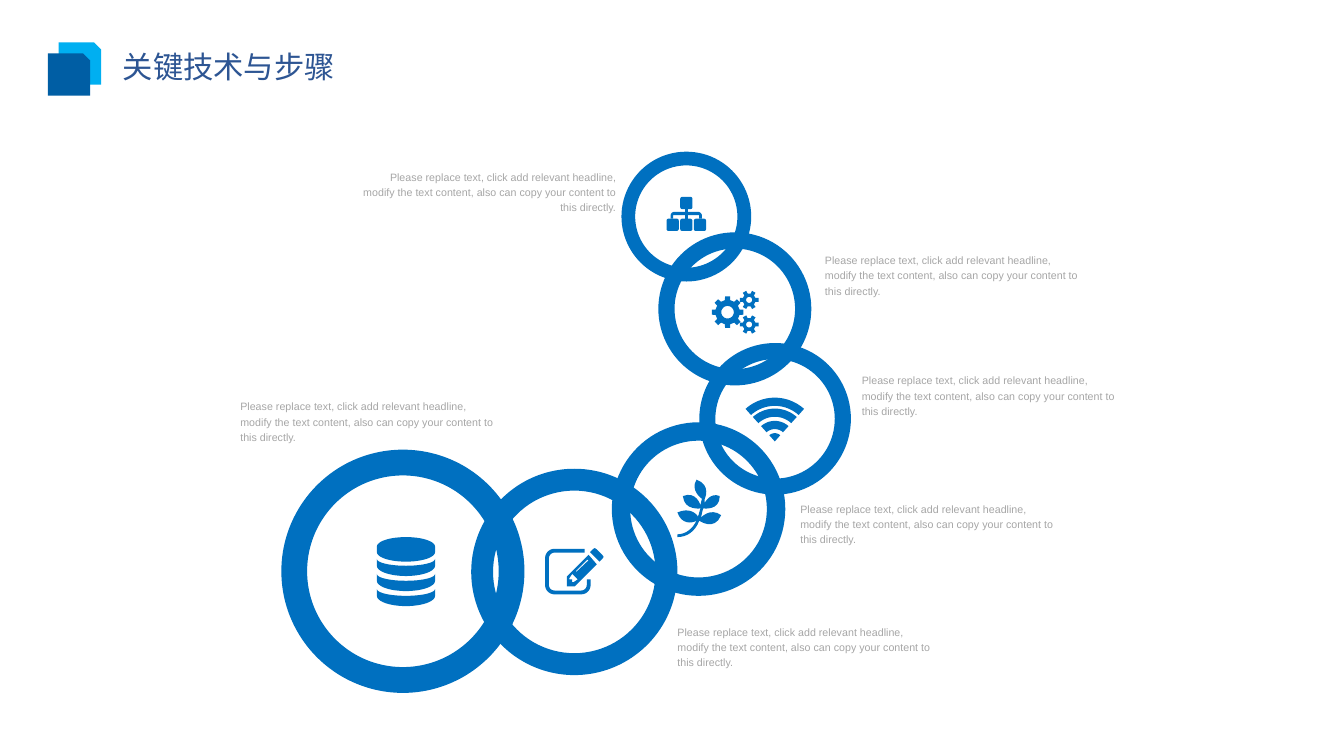
import math
import lxml.etree
import pptx
import pptx.dml.color
import pptx.enum.shapes
import pptx.enum.text
import pptx.oxml.ns
import pptx.util

PX = 9144
FINE = 100
BLUE = "0070C0"
hue = pptx.dml.color.RGBColor.from_string
kind = pptx.enum.shapes.MSO_SHAPE
side = pptx.enum.text.PP_ALIGN
fit = pptx.enum.text.MSO_AUTO_SIZE.SHAPE_TO_FIT_TEXT
qn = pptx.oxml.ns.qn

deck = pptx.Presentation()
deck.slide_width = 984 * PX
deck.slide_height = 551 * PX
slide = deck.slides.add_slide(deck.slide_layouts[5])
shapes = slide.shapes


def arc(x, y, rx, ry, start, end):
    turns = [math.radians(start + (end - start) * i / 24) for i in range(25)]
    return [(x + rx * math.cos(t), y + ry * math.sin(t)) for t in turns]


def draw(loops, stroke=0):
    loops = [[(round(x * FINE), round(y * FINE)) for x, y in loop] for loop in loops]
    pen = shapes.build_freeform(*loops[0][0], scale=PX / FINE)
    for i, loop in enumerate(loops):
        if i:
            pen.move_to(*loop[0])
        pen.add_line_segments(loop[1:], close=not stroke)
    icon = pen.convert_to_shape()
    icon.shadow.inherit = False
    if stroke:
        icon.fill.background()
        icon.line.color.rgb = hue(BLUE)
        icon.line.width = pptx.util.Pt(stroke)
    else:
        icon.fill.solid()
        icon.fill.fore_color.rgb = hue(BLUE)
        icon.line.fill.background()


rings = [(455, 111, 95), (482, 170, 112), (512, 251, 111),
         (448, 309, 127), (345, 343, 151), (206, 329, 178)]
tabs = [(43, 31, "00AFF1"), (35, 39, "005EA4")]
nodes = [(498, 144), (488, 160), (498, 160), (508, 160)]
parts = [(kind.DONUT, x, y, d, BLUE) for x, y, d in rings]
parts += [(kind.SNIP_1_RECTANGLE, x, y, 31, tone) for x, y, tone in tabs]
parts += [(kind.ROUNDED_RECTANGLE, x, y, 9, BLUE) for x, y in nodes]
made = []
for form, x, y, size, tone in parts:
    part = shapes.add_shape(form, x * PX, y * PX, size * PX, size * PX)
    part.shadow.inherit = False
    part.fill.solid()
    part.fill.fore_color.rgb = hue(tone)
    part.line.fill.background()
    if form == kind.DONUT:
        part.adjustments[0] = 0.106
    made.append(part)

root, left, mid, right = made[-4:]
trunk = shapes.add_connector(pptx.enum.shapes.MSO_CONNECTOR.STRAIGHT, 0, 0, 0, 0)
trunk.begin_connect(root, 2)
trunk.end_connect(mid, 0)
trunk.line.color.rgb = hue(BLUE)
trunk.line.width = pptx.util.Pt(1.6)
lxml.etree.SubElement(trunk._element.spPr, qn("a:effectLst"))
draw([[(491, 160)] + arc(494, 158, 3, 3, 180, 270) + arc(511, 158, 3, 3, 270, 360)
      + [(514, 160), (512, 160), (512, 157.5), (493, 157.5), (493, 160)]])

gears = []
for x, y, tip, base, hole, teeth in [(532.7, 228.5, 11.7, 9, 4.6, 8),
                                     (548.5, 219.5, 7, 4.8, 2.2, 6),
                                     (548.5, 237.5, 7, 4.8, 2.2, 6)]:
    rim = []
    for i in range(teeth):
        for shift, r in [(-0.28, base), (-0.2, tip), (0.2, tip), (0.28, base)]:
            turn = (i + shift) * 2 * math.pi / teeth
            rim.append((x + r * math.cos(turn), y + r * math.sin(turn)))
    gears += [rim, arc(x, y, hole, hole, 0, 360)]
draw(gears)

draw([arc(567.3, 323, r, r, 228, 312) + arc(567.3, 323, r - 6, r - 6, 312, 228)
      for r in (32, 24, 15, 6)])

stem = (512, 381)
leaf = [(509, 389, 503, 393, 496, 393), (496, 393, 496, 392, 496, 392),
        (496, 391, 496, 391, 496, 391), (502, 391, 507, 387, 510, 381),
        (507, 383, 499, 384, 496, 375), (505, 371, 510, 376, 511, 378),
        (512, 376, 512, 374, 513, 372), (513, 372, 501, 374, 500, 363),
        (510, 359, 513, 370, 513, 370), (513, 368, 514, 365, 514, 365),
        (514, 365, 505, 359, 510, 351), (521, 355, 516, 365, 516, 365),
        (516, 365, 516, 367, 516, 368), (516, 368, 520, 360, 527, 363),
        (527, 374, 515, 372, 515, 372), (514, 374, 514, 377, 513, 379),
        (513, 379, 520, 371, 528, 377), (523, 389, 512, 381, 512, 381)]
edge = [stem]
for ax, ay, bx, by, cx, cy in leaf:
    ox, oy = edge[-1]
    for t in [i / 8 for i in range(1, 9)]:
        u = 1 - t
        k = (u ** 3, 3 * u * u * t, 3 * u * t * t, t ** 3)
        edge.append((k[0] * ox + k[1] * ax + k[2] * bx + k[3] * cx,
                     k[0] * oy + k[1] * ay + k[2] * by + k[3] * cy))
draw([edge])

draw([[(428, 403)] + arc(406, 408.5, 5.5, 5.5, 270, 180) + arc(406, 428, 5.5, 5.5, 180, 90)
      + arc(425.5, 428, 5.5, 5.5, 90, 0) + [(431, 424)]], 2)
draw([[(437, 413), (421, 429), (415, 429), (415, 422), (431, 406)],
      [(423, 424), (419, 420), (417, 423), (417, 424), (419, 424), (419, 426), (420, 426)],
      [(430, 409.5), (421.5, 418), (422, 418.5), (431, 410)],
      [(439, 411), (432, 404), (434, 402), (435.5, 401), (437, 402),
       (441, 406), (442, 407.5), (441, 409)]])

disks = [arc(297.3, 400, 21.3, 7, 180, 360) + arc(297.3, 404, 21.3, 7, 0, 180)]
disks += [arc(297.3, y, 21.3, 5, 180, 0) + arc(297.3, y + 5, 21.3, 7.5, 0, 180)
          for y in (409, 420, 431)]
draw(disks)

note = ("Please replace text, click add relevant headline, modify the text content, "
        "also can copy your content to this directly.")
for x, y, w, align in [(176, 291, 190, side.LEFT), (496, 456, 189, side.LEFT),
                       (586, 366, 189, side.LEFT), (631, 272, 189, side.LEFT),
                       (604, 184, 189, side.LEFT), (261, 123, 190, side.RIGHT)]:
    frame = shapes.add_textbox(x * PX, y * PX, w * PX, 34 * PX).text_frame
    frame.word_wrap = True
    frame.auto_size = fit
    frame.margin_left = frame.margin_right = frame.margin_top = frame.margin_bottom = 0
    line = frame.paragraphs[0]
    line.text = note
    line.alignment = align
    line.line_spacing = 1.2
    line.font.name = "Arial"
    line.font.size = pptx.util.Pt(5.6)
    line.font.color.rgb = hue("A6A6A6")

title = shapes.title
title.left, title.top, title.width, title.height = [n * PX for n in (83, 31, 189, 34)]
frame = title.text_frame
frame.word_wrap = True
frame.auto_size = fit
frame.vertical_anchor = pptx.enum.text.MSO_ANCHOR.TOP
frame.margin_left = frame.margin_right = 7 * PX
frame.margin_top = frame.margin_bottom = 4 * PX
head = frame.paragraphs[0]
head.text = "关键技术与步骤"
head.alignment = side.LEFT
head.font.size = pptx.util.Pt(16)
head.font.color.rgb = hue("2D5593")
head.font.name = "Noto Sans CJK SC"
east = lxml.etree.SubElement(head._p.pPr.find(qn("a:defRPr")), qn("a:ea"))
east.set("typeface", "Noto Sans CJK SC")

deck.save("out.pptx")
